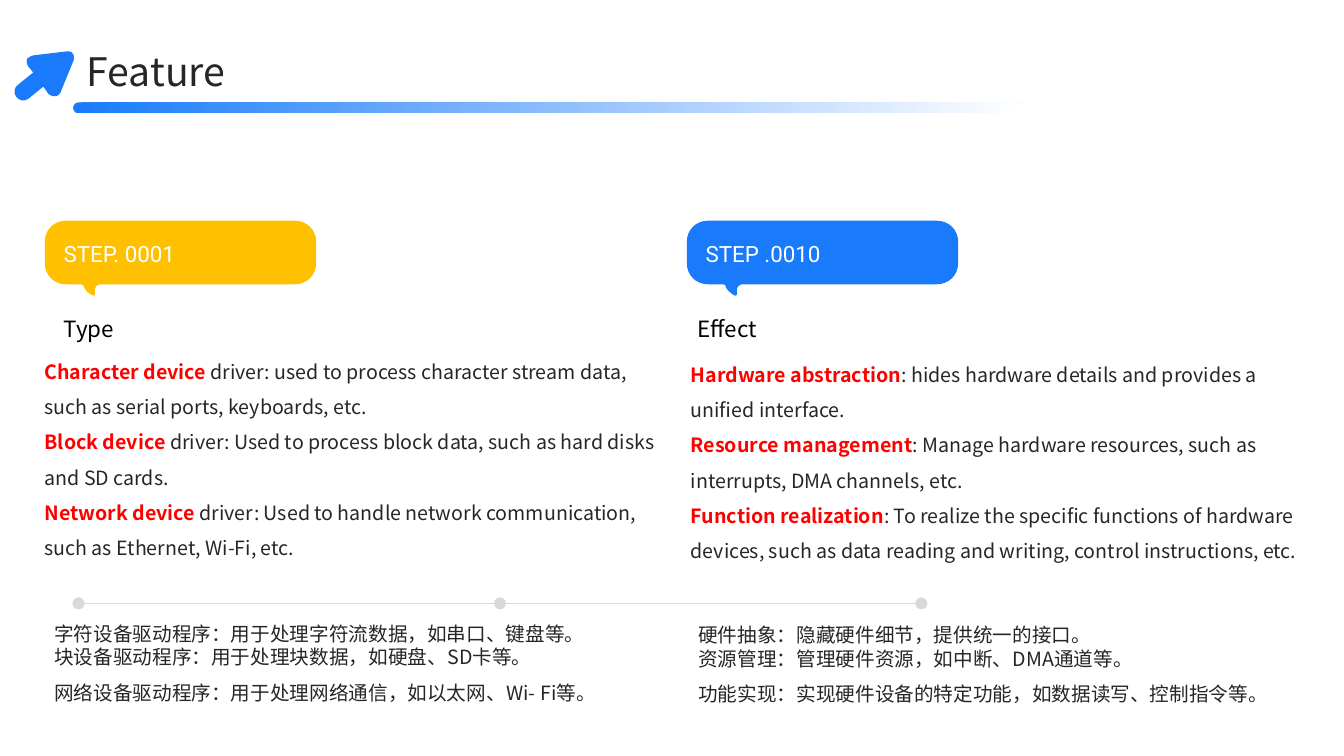
from lxml import etree
from pptx import Presentation
from pptx.dml.color import RGBColor
from pptx.enum.shapes import MSO_CONNECTOR, MSO_SHAPE
from pptx.enum.text import MSO_ANCHOR, PP_ALIGN
from pptx.oxml.ns import qn
from pptx.util import Pt

STRAIGHT = MSO_CONNECTOR.STRAIGHT
OVAL, ROUNDED = MSO_SHAPE.OVAL, MSO_SHAPE.ROUNDED_RECTANGLE
TOP, MIDDLE = MSO_ANCHOR.TOP, MSO_ANCHOR.MIDDLE
LEFT = PP_ALIGN.LEFT

COLORS = {"blue": "197BFB", "amber": "FFC000", "red": "FF0000", "ink": "262626",
          "black": "000000", "white": "FFFFFF", "grey": "D9D9D9"}
SANS, ROBOTO = "Noto Sans CJK SC", "Roboto"

STEP = {"size": 16, "name": ROBOTO, "color": "white"}
HEADING = {"size": 16, "name": SANS, "color": "black"}
TITLE = {"size": 28, "name": SANS, "color": "ink", "bold": False}
BODY = {"size": 14, "name": SANS, "color": "ink"}
KEYWORD = {"size": 14, "name": SANS, "color": "red", "bold": True}

ARROW = [(10.1, 5.8), (9.4, 7.2, 9.4, 8.6, 10.8, 11.5), (14.4, 15.8), (3.6, 24.5),
         (0.7, 26.6, 0, 30.2, 2.2, 33.1), (4.3, 36, 7.9, 36.7, 10.8, 34.6),
         (21.6, 25.9), (25.2, 31), (25.2, 31, 30.2, 36, 33.8, 30.2), (43.2, 7.2),
         (43.2, 7.2, 45.4, 0, 38.2, 0.7), (14.4, 3.6),
         (14.4, 3.6, 11.5, 4.3, 10.1, 5.8)]
BUBBLE = [(15.1, 45.4), (26, 45.4), (26.6, 45.4, 26.6, 45.4, 27.4, 46),
          (28.1, 49.7, 31.7, 51.8, 33.8, 53.3), (34.6, 54, 35.3, 53.3, 36, 52.6),
          (36, 52.6, 36, 51.8, 36, 51.8), (35.3, 49.7, 35.3, 46.8, 38.9, 45.4),
          (178.6, 45.4), (187.2, 45.4, 193.8, 38.9, 193.8, 30.2), (193.8, 15.1),
          (193.8, 6.5, 187.2, 0, 178.6, 0), (15.1, 0), (6.5, 0, 0, 6.5, 0, 15.1),
          (0, 30.2), (0, 38.9, 6.5, 45.4, 15.1, 45.4)]

COLUMNS = [
    {"box": (32, 157.7), "color": "amber", "step": "STEP. 0001",
     "heading": "Type", "heading_x": 13.4,
     "points_at": (-0.2, 90.8),
     "points": [
         ("Character device ", "driver: used to process character stream data, "
          "such as serial ports, keyboards, etc."),
         ("Block device ", "driver: Used to process block data, such as hard disks "
          "and SD cards."),
         ("Network device ", "driver: Used to handle network communication, "
          "such as Ethernet, Wi-Fi, etc.")],
     "notes_at": (6.8, 286.5), "notes_width": 434.9,
     "notes": ["字符设备驱动程序：用于处理字符流数据，如串口、键盘等。",
               "块设备驱动程序：用于处理块数据，如硬盘、SD卡等。",
               "网络设备驱动程序：用于处理网络通信，如以太网、Wi- Fi等。"]},
    {"box": (490.6, 157.7), "color": "blue", "step": "STEP .0010",
     "heading": "Effect", "heading_x": 7.6,
     "points_at": (2.8, 93),
     "points": [
         ("Hardware abstraction", ": hides hardware details and provides a "
          "unified interface."),
         ("Resource management", ": Manage hardware resources, such as interrupts, "
          "DMA channels, etc."),
         ("Function realization", ": To realize the specific functions of hardware "
          "devices, such as data reading and writing, control instructions, etc.")],
     "notes_at": (8.2, 287.3), "notes_width": 505.4,
     "notes": ["硬件抽象：隐藏硬件细节，提供统一的接口。",
               "资源管理：管理硬件资源，如中断、DMA通道等。",
               "功能实现：实现硬件设备的特定功能，如数据读写、控制指令等。"]},
]


def rgb(color):
    return RGBColor.from_string(COLORS[color])


def paint(shape, color):
    shape.shadow.inherit = False
    shape.fill.solid()
    shape.fill.fore_color.rgb = rgb(color)
    shape.line.fill.background()


def add_outline(slide, outline, left, top, color):
    anchors = [(x * 100, y * 100) for *_, x, y in outline]
    builder = slide.shapes.build_freeform(*anchors[0], scale=Pt(1) / 100)
    builder.add_line_segments(anchors[1:], close=True)
    shape = builder.convert_to_shape(Pt(left), Pt(top))
    paint(shape, color)
    min_x, min_y = (min(values) for values in zip(*anchors))
    lines = list(shape._element.iter(qn("a:lnTo")))
    for line, segment in zip(lines, outline[1:]):
        if len(segment) == 2:
            continue
        line.tag = qn("a:cubicBezTo")
        for index in range(2):
            x, y = segment[2 * index:2 * index + 2]
            control = etree.Element(qn("a:pt"), x=str(round(x * 100 - min_x)),
                                    y=str(round(y * 100 - min_y)))
            line.insert(index, control)


def style_font(run, style):
    values = dict(style, size=Pt(style["size"]))
    run.font.color.rgb = rgb(values.pop("color"))
    for name, value in values.items():
        setattr(run.font, name, value)
    east_asian = etree.SubElement(run.font._element, qn("a:ea"))
    east_asian.set("typeface", style["name"])


def fill_text(shape, paragraphs, spacing, anchor=TOP, wrap=True):
    frame = shape.text_frame
    frame_format = {"word_wrap": wrap, "vertical_anchor": anchor, "margin_left": 0,
                    "margin_top": 0, "margin_right": 0, "margin_bottom": 0}
    for name, value in frame_format.items():
        setattr(frame, name, value)
    for index, runs in enumerate(paragraphs):
        paragraph = frame.add_paragraph() if index else frame.paragraphs[0]
        paragraph.alignment = LEFT
        paragraph.line_spacing = spacing
        for text, style in runs:
            run = paragraph.add_run()
            run.text = text
            style_font(run, style)


def add_text(slide, box, paragraphs, spacing, **options):
    shape = slide.shapes.add_textbox(*map(Pt, box))
    fill_text(shape, paragraphs, spacing, **options)


def add_header(slide, left, top):
    title = slide.shapes.title
    title.left, title.top, title.width, title.height = map(
        Pt, (left + 52.5, top - 5.3, 840.2, 36.7))
    fill_text(title, [[("Feature", TITLE)]], 1.1, anchor=MIDDLE)
    bar = slide.shapes.add_shape(ROUNDED, *map(Pt, (left + 42.8, top + 37.1, 679.7, 7.9)))
    paint(bar, "blue")
    bar.adjustments[0] = 0.5
    bar.fill.gradient()
    bar.fill.gradient_angle = 0
    for stop, color, position in zip(bar.fill.gradient_stops, ("blue", "white"), (0, 1)):
        stop.color.rgb = rgb(color)
        stop.position = position
    add_outline(slide, ARROW, left, top, "blue")


def add_column(slide, column):
    left, top = column["box"]
    add_outline(slide, BUBBLE, left, top, column["color"])
    add_text(slide, (left + 13.4, top + 9.3, 167, 26.6),
             [[(column["step"], STEP)]], 1.1, anchor=MIDDLE, wrap=False)
    add_text(slide, (left + column["heading_x"], top + 45.6, 253.4, 56.9),
             [[(column["heading"], HEADING)]], 1.3, anchor=MIDDLE)
    x, y = column["points_at"]
    add_text(slide, (left + x, top + y, 447.8, 156.2),
             [[(keyword, KEYWORD), (detail, BODY)] for keyword, detail in column["points"]], 1.5)
    x, y = column["notes_at"]
    add_text(slide, (left + x, top + y, column["notes_width"], 156.2),
             [[("\n".join(column["notes"]), BODY)]], 1.5)


def add_timeline(slide, left, top, gap=301, size=8.6):
    middle = top + size / 2
    line = slide.shapes.add_connector(
        STRAIGHT, *map(Pt, (left + 2, middle, left + 2 * gap + size / 2, middle)))
    line.line.color.rgb = rgb("grey")
    line.line.width = Pt(1)
    etree.SubElement(line._element.spPr, qn("a:effectLst"))
    for index in range(3):
        dot = slide.shapes.add_shape(OVAL, *map(Pt, (left + index * gap, top, size, size)))
        paint(dot, "grey")


def main():
    presentation = Presentation()
    presentation.slide_width, presentation.slide_height = Pt(960), Pt(540)
    slide = presentation.slides.add_slide(presentation.slide_layouts[5])
    add_header(slide, 9.4, 36)
    add_timeline(slide, 51.8, 426.7)
    for column in COLUMNS:
        add_column(slide, column)
    presentation.save("out.pptx")


if __name__ == "__main__":
    main()
